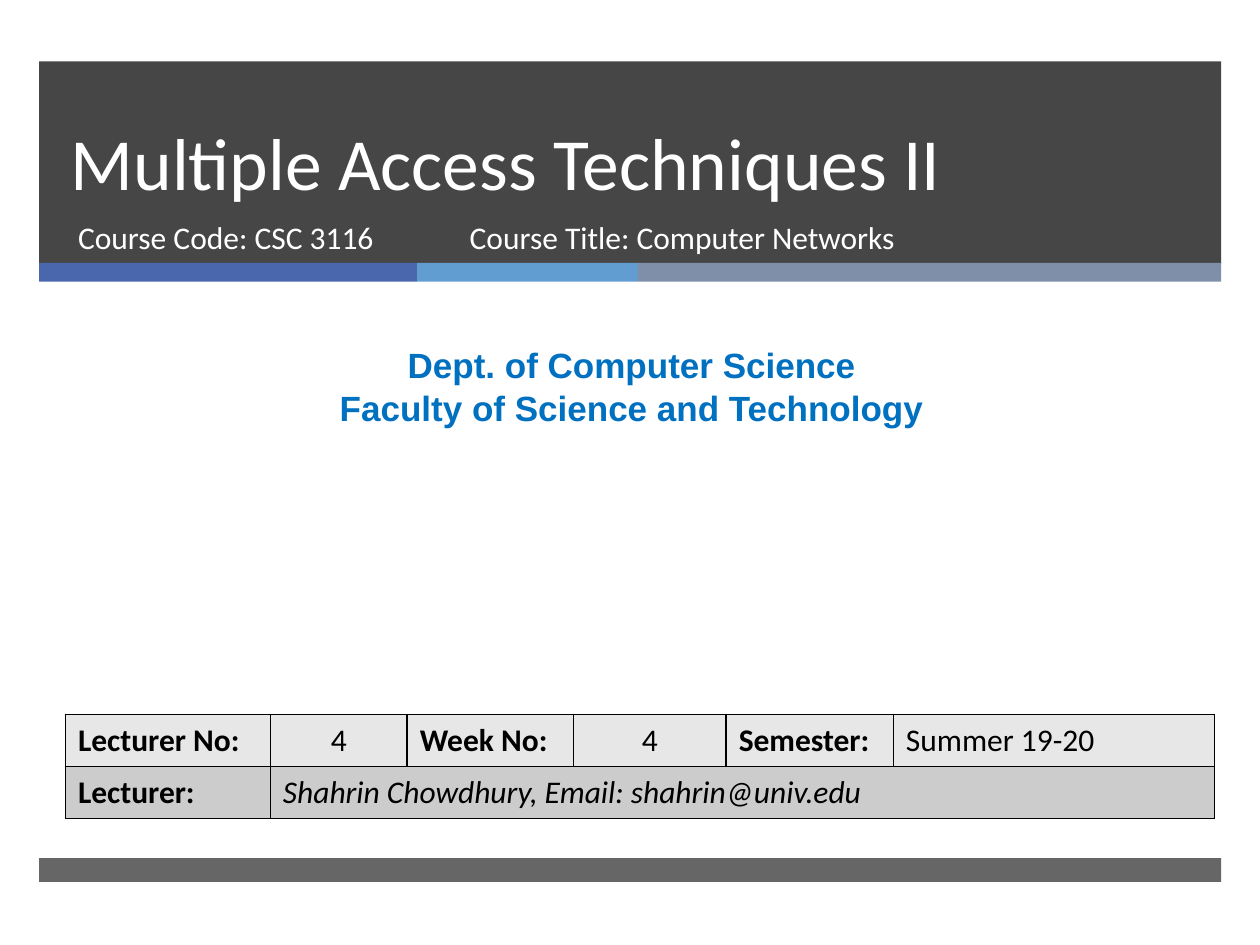
"""Build the opening slide of a lecture on multiple access techniques."""
import pptx
import pptx.dml.color
import pptx.enum.shapes
import pptx.enum.text
import pptx.oxml
import pptx.oxml.ns
import pptx.util

Cm = pptx.util.Cm
Pt = pptx.util.Pt
RGBColor = pptx.dml.color.RGBColor
PP_ALIGN = pptx.enum.text.PP_ALIGN
MSO_ANCHOR = pptx.enum.text.MSO_ANCHOR

CHARCOAL = RGBColor(0x26, 0x26, 0x26)
INDIGO = RGBColor(0x4A, 0x66, 0xAC)
SKY = RGBColor(0x62, 0x9D, 0xD1)
SLATE = RGBColor(0x7F, 0x8F, 0xA9)
WHITE = RGBColor(0xFF, 0xFF, 0xFF)
BLACK = RGBColor(0x00, 0x00, 0x00)
BLUE = RGBColor(0x00, 0x70, 0xC0)
LIGHT_GREY = RGBColor(0xE7, 0xE7, 0xE7)
MID_GREY = RGBColor(0xCC, 0xCC, 0xCC)

MARGIN = 0.79
BAND_WIDTH = 23.83
STRIPES = [(INDIGO, 7.62), (SKY, 4.45), (SLATE, 11.76)]
COLUMN_WIDTHS = [4.13, 2.76, 3.35, 3.08, 3.37, 6.47]
ROW_HEIGHT = 1.05
LECTURE_FACTS = ["Lecturer No:", "4", "Week No:", "4", "Semester:", "Summer 19-20"]
LECTURER = "Shahrin Chowdhury, Email: shahrin@univ.edu"


def add_bar(slide, left, top, width, height, color, opacity=100):
    """Add a plain filled rectangle, opaque unless told otherwise."""
    bar = slide.shapes.add_shape(
        pptx.enum.shapes.MSO_SHAPE.RECTANGLE, Cm(left), Cm(top), Cm(width), Cm(height))
    bar.shadow.inherit = False
    bar.line.fill.background()
    bar.fill.solid()
    bar.fill.fore_color.rgb = color
    if opacity < 100:
        tint = bar.element.spPr.find(".//" + pptx.oxml.ns.qn("a:srgbClr"))
        tint.append(pptx.oxml.parse_xml(
            f'<a:alpha {pptx.oxml.ns.nsdecls("a")} val="{opacity * 1000}"/>'))


def place(holder, left, top, width, height):
    """Move and size a text holder."""
    holder.left, holder.top = Cm(left), Cm(top)
    holder.width, holder.height = Cm(width), Cm(height)


def style(paragraph, size, color, font="Calibri", bold=False, italic=False,
          align=PP_ALIGN.LEFT):
    """Format one paragraph."""
    paragraph.alignment = align
    paragraph.space_before = Pt(0)
    paragraph.font.name = font
    paragraph.font.size = Pt(size)
    paragraph.font.bold = bold
    paragraph.font.italic = italic
    paragraph.font.color.rgb = color


def write(holder, text, size, color, anchor=MSO_ANCHOR.TOP, **look):
    """Write text into a holder, one paragraph per line."""
    frame = holder.text_frame
    frame.text = text
    frame.word_wrap = True
    frame.auto_size = pptx.enum.text.MSO_AUTO_SIZE.NONE
    frame.vertical_anchor = anchor
    for paragraph in frame.paragraphs:
        style(paragraph, size, color, **look)


def add_text(slide, box, text, size, color, **look):
    """Add a text box."""
    holder = slide.shapes.add_textbox(*(Cm(length) for length in box))
    write(holder, text, size, color, **look)


def fill_cell(cell, text, color, **look):
    """Write a table cell with its fill."""
    cell.text = text
    cell.vertical_anchor = MSO_ANCHOR.MIDDLE
    cell.fill.solid()
    cell.fill.fore_color.rgb = color
    style(cell.text_frame.paragraphs[0], 18, BLACK, **look)


def outline_cell(cell):
    """Draw a thin black border on all sides of a cell."""
    properties = cell._tc.get_or_add_tcPr()
    for index, side in enumerate(("lnL", "lnR", "lnT", "lnB")):
        properties.insert(index, pptx.oxml.parse_xml(
            f'<a:{side} {pptx.oxml.ns.nsdecls("a")} w="{Pt(1)}"><a:solidFill>'
            f'<a:srgbClr val="{BLACK}"/></a:solidFill></a:{side}>'))


def add_lecture_table(slide):
    """Add the table of lecture details."""
    table = slide.shapes.add_table(
        2, len(COLUMN_WIDTHS), Cm(1.32), Cm(14.4),
        Cm(sum(COLUMN_WIDTHS)), Cm(2 * ROW_HEIGHT)).table
    for column, width in zip(table.columns, COLUMN_WIDTHS):
        column.width = Cm(width)
    for row in table.rows:
        row.height = Cm(ROW_HEIGHT)
    table.cell(1, 1).merge(table.cell(1, 5))
    for index, fact in enumerate(LECTURE_FACTS):
        fill_cell(table.cell(0, index), fact, LIGHT_GREY, bold=index % 2 == 0,
                  align=PP_ALIGN.CENTER if fact == "4" else PP_ALIGN.LEFT)
    fill_cell(table.cell(1, 0), "Lecturer:", MID_GREY, bold=True)
    fill_cell(table.cell(1, 1), LECTURER, MID_GREY, italic=True)
    for cell in table.iter_cells():
        outline_cell(cell)


def add_bands(slide):
    """Add the header band, its stripes and the footer band."""
    add_bar(slide, MARGIN, 1.24, BAND_WIDTH, 4.09, CHARCOAL, 85)
    left = MARGIN
    for color, width in STRIPES:
        add_bar(slide, left, 5.3, width, 0.38, color)
        left += width
    add_bar(slide, MARGIN, 17.3, BAND_WIDTH, 0.48, CHARCOAL, 70)


def main():
    """Build and save the slide."""
    deck = pptx.Presentation()
    deck.slide_width, deck.slide_height = Cm(25.4), Cm(19.05)
    slide = deck.slides.add_slide(deck.slide_layouts[0])
    title, course_code = slide.placeholders
    add_bands(slide)
    for holder in (title, course_code):
        slide.shapes.element.append(holder.element)

    place(title, 1.17, 1.24, 21.69, 3.02)
    write(title, "Multiple Access Techniques II", 42, WHITE, anchor=MSO_ANCHOR.BOTTOM)
    title.text_frame.paragraphs[0].line_spacing = Pt(46)
    place(course_code, 1.32, 4.27, 7.75, 1.35)
    write(course_code, "Course Code: CSC 3116", 18, WHITE)
    add_text(slide, (0.2, 6.81, 25.07, 1.96),
             "Dept. of Computer Science\nFaculty of Science and Technology",
             20, BLUE, font="Arial", bold=True, align=PP_ALIGN.CENTER)
    add_lecture_table(slide)
    add_text(slide, (9.22, 4.27, 11.56, 1.35),
             "Course Title: Computer Networks", 18, WHITE)
    deck.save("out.pptx")


main()
